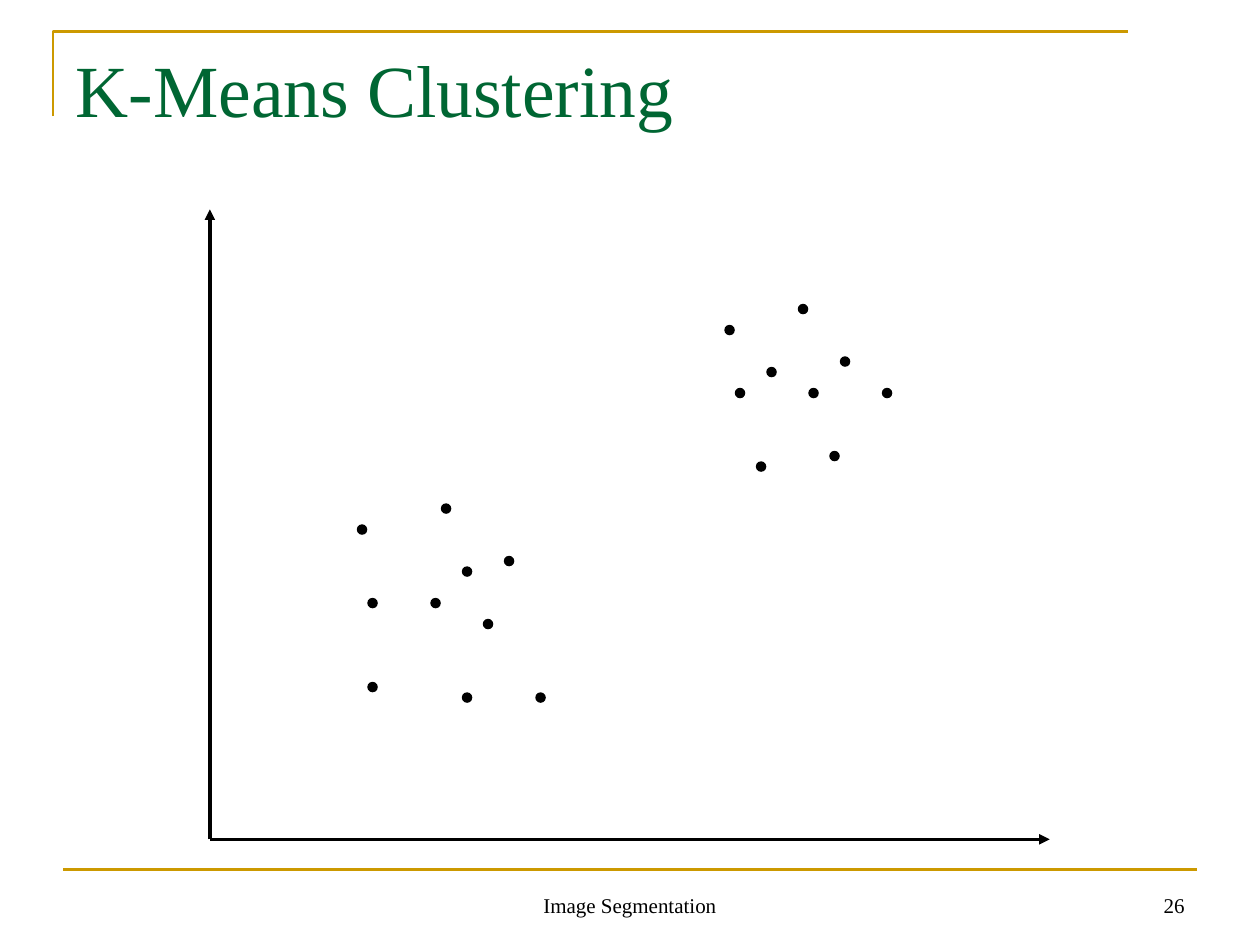
from collections import namedtuple

from lxml.etree import SubElement
from pptx import Presentation
from pptx.dml.color import RGBColor
from pptx.enum.shapes import MSO_CONNECTOR as Connector, MSO_SHAPE as Shape
from pptx.enum.text import MSO_ANCHOR as Anchor, MSO_AUTO_SIZE as AutoSize, PP_ALIGN as Align
from pptx.oxml.ns import qn
from pptx.util import Cm, Pt

GREEN = RGBColor(0x00, 0x66, 0x33)
GOLD = RGBColor(0xCC, 0x99, 0x00)
BLACK = RGBColor(0x00, 0x00, 0x00)
FONT = "Times New Roman"

Box = namedtuple("Box", "left top width height")
PAGE = Box(0, 0, 25.4, 19.05)
TITLE = Box(1.27, 0.76, 22.86, 3.18)
PLOT = Box(4.23, 4.22, 16.93, 12.7)
FOOTER = Box(1.27, 17.35, 22.86, 1.27)

GRID_STEP = 2.54 / 12
UPPER_CLUSTER = [(49, 49), (50, 43), (53, 45), (56, 51), (60, 46),
                 (57, 43), (52, 36), (59, 37), (64, 43)]
LOWER_CLUSTER = [(22, 32), (28, 27), (26, 21), (24, 26), (14, 30),
                 (15, 23), (21, 23), (24, 14), (15, 15), (31, 14)]


def write_text(shape, text, size=12, color=BLACK, align=Align.LEFT, anchor=Anchor.TOP):
    """Write one formatted line of text into a shape."""
    frame = shape.text_frame
    frame.word_wrap = True
    frame.auto_size = AutoSize.NONE
    frame.vertical_anchor = anchor
    para = frame.paragraphs[0]
    para.alignment = align
    span = para.add_run()
    span.text = text
    span.font.name = FONT
    span.font.size = Pt(size)
    span.font.color.rgb = color


def add_line(page, start, end, color, width, arrow=False):
    """Draw a straight line, with an arrowhead at its end if asked."""
    line = page.shapes.add_connector(
        Connector.STRAIGHT, *(Cm(value) for value in (*start, *end)))
    line.line.color.rgb = color
    line.line.width = Pt(width)
    if arrow:
        SubElement(line.line._get_or_add_ln(), qn("a:tailEnd"), type="triangle")
    SubElement(line._element.spPr, qn("a:effectLst"))


def add_title(page, box, text):
    """Place the title and the gold corner rule around it."""
    left, top = box.left - 0.2, box.top - 0.12
    builder = page.shapes.build_freeform(Cm(left), Cm(top + 1.7))
    builder.add_line_segments(
        [(Cm(left), Cm(top)), (Cm(left + 21.67), Cm(top))], close=False)
    corner = builder.convert_to_shape()
    corner.shadow.inherit = False
    corner.fill.background()
    corner.line.color.rgb = GOLD
    corner.line.width = Pt(1.5)

    title = page.shapes.title
    title.left, title.top, title.width, title.height = map(Cm, box)
    write_text(title, text, size=42, color=GREEN)


def add_scatter(page, box, points):
    """Draw the two axes and the dots, counted in grid steps from the origin."""
    base = box.top + box.height
    origin = (box.left, base)
    for end in ((box.left + box.width, base), (box.left, box.top)):
        add_line(page, origin, end, BLACK, 2, arrow=True)
    for across, up in points:
        dot = page.shapes.add_shape(
            Shape.OVAL, Cm(box.left + across * GRID_STEP), Cm(base - up * GRID_STEP),
            Cm(GRID_STEP), Cm(GRID_STEP))
        dot.shadow.inherit = False
        dot.fill.solid()
        dot.fill.fore_color.rgb = BLACK
        dot.line.fill.background()


def add_footer(page, box, text, number):
    """Draw the footer rule, the centred footer and the page number."""
    rule = box.top + 0.18
    right = box.left + box.width
    add_line(page, (box.left, rule), (right, rule), GOLD, 1.5)
    parts = [(text, box.left + (box.width - 8.04) / 2, 8.04, Align.CENTER),
             (number, right - 5.92, 5.92, Align.RIGHT)]
    for words, left, width, align in parts:
        label = page.shapes.add_textbox(Cm(left), Cm(box.top), Cm(width), Cm(box.height))
        write_text(label, words, align=align, anchor=Anchor.BOTTOM)


def main():
    """Build the slide and save the deck."""
    deck = Presentation()
    deck.slide_width, deck.slide_height = Cm(PAGE.width), Cm(PAGE.height)
    page = deck.slides.add_slide(deck.slide_layouts[5])
    add_title(page, TITLE, "K-Means Clustering")
    add_scatter(page, PLOT, UPPER_CLUSTER + LOWER_CLUSTER)
    add_footer(page, FOOTER, "Image Segmentation", "26")
    deck.save("out.pptx")


if __name__ == "__main__":
    main()
